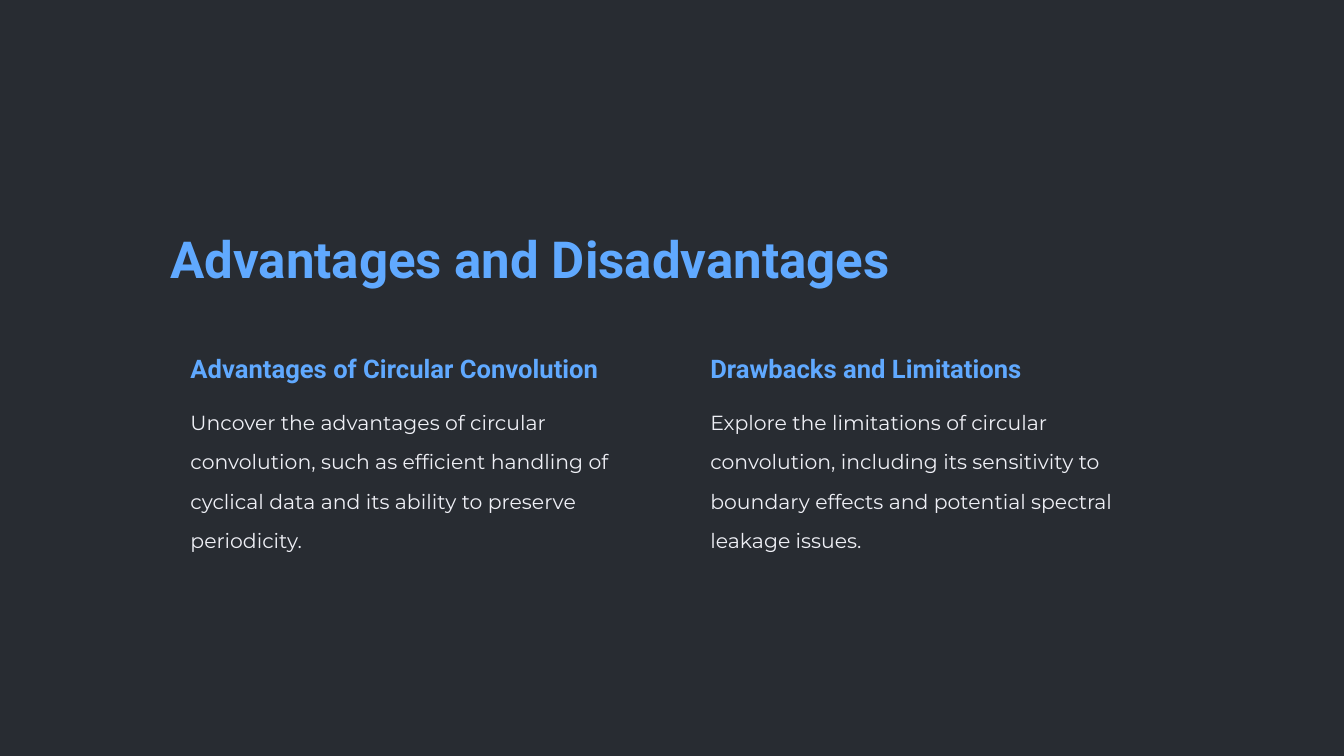
from pptx import Presentation
from pptx.dml.color import RGBColor
from pptx.enum.shapes import MSO_SHAPE
from pptx.util import Cm, Pt

RECT, ROUNDED = MSO_SHAPE.RECTANGLE, MSO_SHAPE.ROUNDED_RECTANGLE

TITLE = "Advantages and Disadvantages"
CARDS = [
    ("Advantages of Circular Convolution",
     "Uncover the advantages of circular convolution, such as efficient handling of "
     "cyclical data and its ability to preserve periodicity."),
    ("Drawbacks and Limitations",
     "Explore the limitations of circular convolution, including its sensitivity to "
     "boundary effects and potential spectral leakage issues."),
]
COLORS = {"dark": "282C32", "accent": "60A9FF", "body": "EEEFF5"}

# Text styles: font, size, bold, colour, line spacing
TITLE_STYLE = ("Roboto", 43.7, True, "accent", 1.25)
HEADING_STYLE = ("Roboto", 21.9, True, "accent", 1.25)
BODY_STYLE = ("Montserrat", 17.5, False, "body", 1.6)

# Lengths in centimetres
SLIDE_W, SLIDE_H = 40.64, 22.86
LEFT, CARD_TOP = 4.9, 9.63
CARD_W, CARD_H, CARD_GAP = 15.11, 6.76, 0.61
PAD = 0.61
HEADING_TOP, HEADING_H = 10.31, 0.97
BODY_TOP, BODY_H = 11.84, 3.94


def add_panel(slide, kind, x, y, w, h):
    s = slide.shapes.add_shape(kind, Cm(x), Cm(y), Cm(w), Cm(h))
    s.shadow.inherit = False
    s.fill.solid()
    s.fill.fore_color.rgb = RGBColor.from_string(COLORS["dark"])
    s.line.fill.background()
    return s


def add_text(slide, text, style, x, y, w, h):
    font, size, bold, color, spacing = style
    tf = slide.shapes.add_textbox(Cm(x), Cm(y), Cm(w), Cm(h)).text_frame
    tf.word_wrap = True
    tf.text = text
    p = tf.paragraphs[0]
    p.line_spacing = spacing
    r = p.runs[0]
    r.font.name, r.font.size, r.font.bold = font, Pt(size), bold
    r.font.color.rgb = RGBColor.from_string(COLORS[color])


def main():
    prs = Presentation()
    prs.slide_width, prs.slide_height = Cm(SLIDE_W), Cm(SLIDE_H)
    slide = prs.slides.add_slide(prs.slide_layouts[6])

    add_panel(slide, RECT, 0, 0, SLIDE_W, SLIDE_H)
    add_text(slide, TITLE, TITLE_STYLE, LEFT, 6.3, 29.57, 1.93)

    text_w = CARD_W - 2 * PAD
    for i, (heading, body) in enumerate(CARDS):
        x = LEFT + i * (CARD_W + CARD_GAP)
        card = add_panel(slide, ROUNDED, x, CARD_TOP, CARD_W, CARD_H)
        card.adjustments[0] = 0.05
        add_text(slide, heading, HEADING_STYLE, x + PAD, HEADING_TOP, text_w, HEADING_H)
        add_text(slide, body, BODY_STYLE, x + PAD, BODY_TOP, text_w, BODY_H)

    prs.save("out.pptx")


if __name__ == "__main__":
    main()
